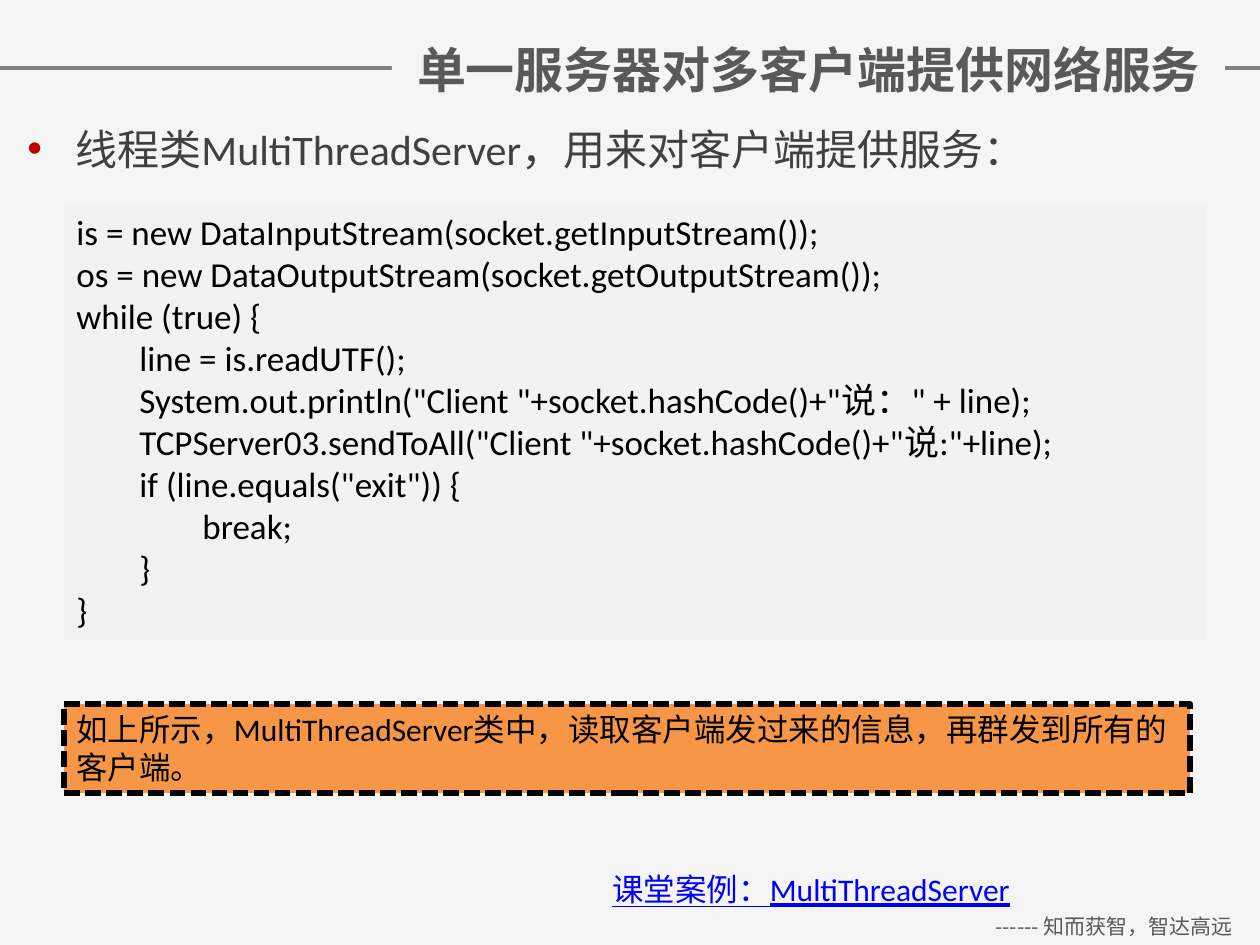
from dataclasses import dataclass
from typing import NamedTuple, Optional

from lxml.etree import SubElement
from pptx import Presentation
from pptx.dml.color import RGBColor
from pptx.enum.dml import MSO_LINE
from pptx.enum.shapes import MSO_CONNECTOR, MSO_SHAPE
from pptx.enum.text import MSO_ANCHOR, MSO_AUTO_SIZE, PP_ALIGN
from pptx.oxml.ns import qn
from pptx.util import Emu, Pt

PX_PER_INCH = 126


@dataclass(frozen=True)
class Theme:
    latin: str = "Calibri"
    cjk: str = "Noto Sans CJK SC"
    paper: str = "F5F5F5"
    rule: str = "808080"
    heading: str = "595959"
    body: str = "404040"
    ink: str = "000000"
    bullet: str = "C00000"
    code_fill: str = "F2F2F2"
    note_fill: str = "F79646"
    link: str = "0000FF"
    title_size: int = 28
    lead_size: int = 24
    code_size: int = 20
    note_size: int = 18
    footer_size: int = 12


class Box(NamedTuple):
    left: int
    top: int
    width: int
    height: int


class CodeLine(NamedTuple):
    text: str
    level: int = 0


class Panel(NamedTuple):
    box: Box
    lines: list[CodeLine]
    size: int
    fill: str
    border: Optional[str] = None


THEME = Theme()
PANELS = [
    Panel(Box(64, 204, 1143, 437), [
        CodeLine("is = new DataInputStream(socket.getInputStream());"),
        CodeLine("os = new DataOutputStream(socket.getOutputStream());"),
        CodeLine("while (true) {"),
        CodeLine("line = is.readUTF();", 1),
        CodeLine('System.out.println("Client "+socket.hashCode()+"说：" + line);', 1),
        CodeLine('TCPServer03.sendToAll("Client "+socket.hashCode()+"说:"+line);', 1),
        CodeLine('if (line.equals("exit")) {', 1),
        CodeLine("\tbreak;", 1),
        CodeLine("}", 1),
        CodeLine("}"),
    ], THEME.code_size, THEME.code_fill),
    Panel(Box(64, 704, 1126, 89), [
        CodeLine("如上所示，MultiThreadServer类中，读取客户端发过来的信息，再群发到所有的客户端。"),
    ], THEME.note_size, THEME.note_fill, THEME.ink),
]


def px(n: int) -> Emu:
    return Emu(round(n * 914400 / PX_PER_INCH))


def rgb(color: str) -> RGBColor:
    return RGBColor.from_string(color)


def write(p, text: str, *, size: int, color: str, font: str = THEME.latin,
          bold: bool = False, underline: bool = False,
          align: PP_ALIGN = PP_ALIGN.LEFT, indent: int = 0) -> None:
    """Fill a paragraph with one formatted run."""
    p.alignment = align
    if indent:
        p._p.get_or_add_pPr().set("marL", str(px(indent)))
    r = p.add_run()
    r.text = text
    f = r.font
    f.size, f.bold, f.underline = Pt(size), bold, underline
    f.color.rgb = rgb(color)
    f.name = font
    SubElement(r._r.get_or_add_rPr(), qn("a:ea"), typeface=THEME.cjk)


def add_bullet(p, hang: int, color: str) -> None:
    pPr = p._p.get_or_add_pPr()
    pPr.set("marL", str(px(hang)))
    pPr.set("indent", str(-px(hang)))
    spacing = SubElement(pPr, qn("a:spcBef"))
    SubElement(spacing, qn("a:spcPct"), val="20000")
    SubElement(SubElement(pPr, qn("a:buClr")), qn("a:srgbClr"), val=color)
    SubElement(pPr, qn("a:buFont"), typeface="Arial")
    SubElement(pPr, qn("a:buChar"), char="•")


def add_text(s, box: Box):
    """Add a wrapping text box and return its first paragraph."""
    tf = s.shapes.add_textbox(*map(px, box)).text_frame
    tf.word_wrap = True
    return tf.paragraphs[0]


def add_panel(s, panel: Panel) -> None:
    sp = s.shapes.add_shape(MSO_SHAPE.RECTANGLE, *map(px, panel.box))
    sp.shadow.inherit = False
    sp.fill.solid()
    sp.fill.fore_color.rgb = rgb(panel.fill)
    if panel.border:
        sp.line.color.rgb = rgb(panel.border)
        sp.line.width = Pt(3)
        sp.line.dash_style = MSO_LINE.SQUARE_DOT
    else:
        sp.line.fill.background()
    tf = sp.text_frame
    tf.word_wrap = True
    tf.vertical_anchor = MSO_ANCHOR.TOP
    for i, line in enumerate(panel.lines):
        p = tf.add_paragraph() if i else tf.paragraphs[0]
        p.level = line.level
        write(p, line.text, size=panel.size, color=THEME.ink, indent=63 * line.level)


def add_title(s, text: str, box: Box) -> None:
    """Place the title over a full-width rule."""
    sp = s.shapes.title
    sp.left, sp.top, sp.width, sp.height = map(px, box)
    sp.fill.solid()
    sp.fill.fore_color.rgb = rgb(THEME.paper)
    tf = sp.text_frame
    tf.word_wrap = True
    tf.auto_size = MSO_AUTO_SIZE.NONE
    tf.vertical_anchor = MSO_ANCHOR.MIDDLE
    write(tf.paragraphs[0], text, size=THEME.title_size, color=THEME.heading,
          font=THEME.cjk, bold=True, align=PP_ALIGN.CENTER)

    rule = s.shapes.add_connector(MSO_CONNECTOR.STRAIGHT, px(0), px(68), px(1260), px(68))
    rule.line.color.rgb = rgb(THEME.rule)
    rule.line.width = Pt(2)
    SubElement(rule.element.spPr, qn("a:effectLst"))
    sp.element.addprevious(rule.element)


def main() -> None:
    prs = Presentation()
    prs.slide_width, prs.slide_height = px(1260), px(945)
    s = prs.slides.add_slide(prs.slide_layouts[5])
    s.background.fill.solid()
    s.background.fill.fore_color.rgb = rgb(THEME.paper)

    # Heading
    add_title(s, "单一服务器对多客户端提供网络服务", Box(392, 33, 833, 72))

    # Lead sentence
    p = add_text(s, Box(15, 117, 1178, 241))
    write(p, "线程类MultiThreadServer，用来对客户端提供服务：",
          size=THEME.lead_size, color=THEME.body)
    add_bullet(p, 48, THEME.bullet)

    # Code listing and note
    for panel in PANELS:
        add_panel(s, panel)

    # Class example
    write(add_text(s, Box(600, 864, 466, 50)), "课堂案例：MultiThreadServer",
          size=THEME.note_size, color=THEME.link, underline=True)

    # Footer motto
    write(add_text(s, Box(968, 907, 292, 38)), "------ 知而获智，智达高远",
          size=THEME.footer_size, color=THEME.heading, font=THEME.cjk,
          align=PP_ALIGN.CENTER)

    prs.save("out.pptx")


if __name__ == "__main__":
    main()
